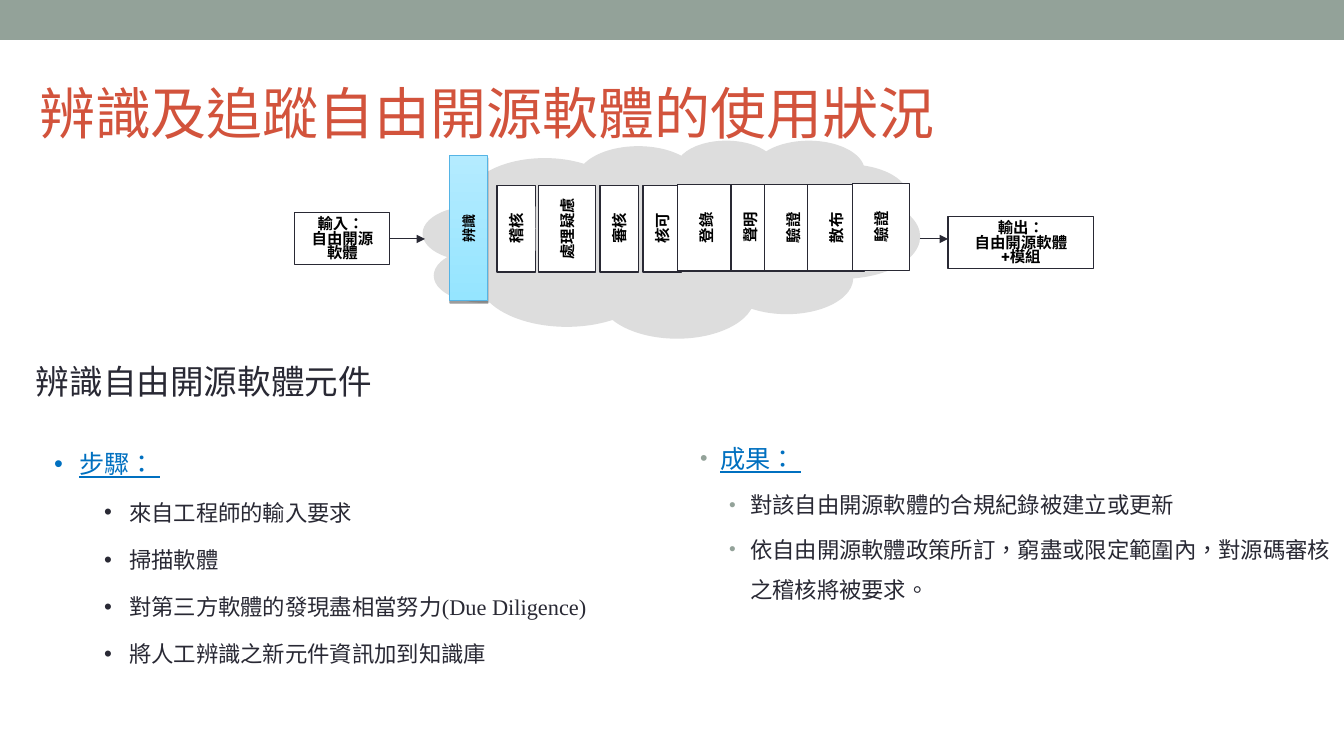
from lxml.etree import SubElement
from pptx import Presentation
from pptx.dml.color import RGBColor
from pptx.enum.shapes import MSO_CONNECTOR as CONN, MSO_SHAPE as SHAPE
from pptx.enum.text import MSO_ANCHOR as ANCHOR, MSO_AUTO_SIZE as AUTO, PP_ALIGN as ALIGN
from pptx.oxml.ns import qn
from pptx.util import Emu, Pt

PX = 914400 / 100.8
SAGE = RGBColor(0x93, 0xA2, 0x99)
RED = RGBColor(0xD2, 0x53, 0x3C)
BLUE = RGBColor(0x00, 0x70, 0xC0)
INK = RGBColor(0x29, 0x29, 0x34)
BLACK = RGBColor(0, 0, 0)
WHITE = RGBColor(0xFF, 0xFF, 0xFF)
CLOUD_GREY = RGBColor(0xDD, 0xDD, 0xDD)
SKY_EDGE = RGBColor(0x55, 0xB4, 0xE5)
SKY = (RGBColor(0x95, 0xE5, 0xFF), RGBColor(0xB4, 0xEB, 0xFF))

SERIF, SANS = "Times New Roman", "Roboto"
LABEL = dict(name=SANS, size=Pt(11), bold=True)
HEADING = dict(name=SERIF, size=Pt(18), underline=True)
ITEM = dict(name=SERIF, size=Pt(16), underline=False)

STAGES = [("稽核", 497, 39), ("處理疑慮", 539, 57), ("審核", 600, 39),
          ("核可", 643, 39), ("登錄", 678, 57), ("聲明", 731, 39),
          ("驗證", 765, 57), ("散布", 808, 57), ("驗證", 853, 57)]
STEPS = ["來自工程師的輸入要求", "掃描軟體",
         "對第三方軟體的發現盡相當努力(Due Diligence)",
         "將人工辨識之新元件資訊加到知識庫"]
RESULTS = ["對該自由開源軟體的合規紀錄被建立或更新 ",
           "依自由開源軟體政策所訂，窮盡或限定範圍內，對源碼審核之稽核將被要求。"]


def px(*values):
    """Turn whole pixels into a list of EMU lengths."""
    return [Emu(round(v * PX)) for v in values]


def set_all(obj, formats):
    """Set every attribute named in a dict."""
    for key, value in formats.items():
        setattr(obj, key, value)


def write(p, text, color, font, **formats):
    """Put one formatted run into a paragraph."""
    set_all(p, formats)
    r = p.add_run()
    r.text = text
    r._r.get_or_add_rPr().set("lang", "zh-TW")
    set_all(r.font, font)
    r.font.color.rgb = color


def place(sp, box, anchor=ANCHOR.TOP):
    """Move a text holder and return its plain wrapping text frame."""
    set_all(sp, dict(zip(("left", "top", "width", "height"), px(*box))))
    tf = sp.text_frame
    set_all(tf, dict(word_wrap=True, auto_size=AUTO.NONE, vertical_anchor=anchor))
    return tf


def add_shape(slide, kind, box, fill=None, line=None):
    """Add a preset shape with a flat fill and an optional thin line."""
    sp = slide.shapes.add_shape(kind, *px(*box))
    sp.shadow.inherit = False
    if fill is not None:
        sp.fill.solid()
        sp.fill.fore_color.rgb = fill
    if line is None:
        sp.line.fill.background()
    else:
        sp.line.color.rgb = line
        sp.line.width = Pt(0.74)
    return sp


def add_terminal(slide, box, lines):
    """Add an input or output box with tightly set lines."""
    tf = place(add_shape(slide, SHAPE.RECTANGLE, box, WHITE, INK), box)
    for i, text in enumerate(lines):
        p = tf.add_paragraph() if i else tf.paragraphs[0]
        write(p, text, BLACK, LABEL, alignment=ALIGN.CENTER, line_spacing=Pt(10.5))


def turned(x, y, w, h):
    """Return the unrotated box that covers the given one after a quarter turn."""
    return x + (w - h) / 2, y + (h - w) / 2, h, w


def add_stage(slide, name, box):
    """Add an upright process stage whose label reads upwards."""
    box = turned(*box)
    sp = add_shape(slide, SHAPE.RECTANGLE, box, WHITE, INK)
    sp.rotation = 270
    tf = place(sp, box, ANCHOR.MIDDLE)
    write(tf.paragraphs[0], name, BLACK, LABEL, alignment=ALIGN.CENTER)


def add_current_stage(slide, name, box):
    """Add the highlighted stage with gradient, shadow and upright label."""
    sp = add_shape(slide, SHAPE.RECTANGLE, box, line=SKY_EDGE)
    sp.fill.gradient()
    sp.fill.gradient_angle = 90
    for stop, color, pos in zip(sp.fill.gradient_stops, SKY, (0, 1)):
        stop.color.rgb = color
        stop.position = pos
    effects = sp._element.spPr.find(qn("a:effectLst"))
    shadow = SubElement(effects, qn("a:outerShdw"), dist="20320", dir="5400000", rotWithShape="0")
    color = SubElement(shadow, qn("a:srgbClr"), val=str(BLACK))
    SubElement(color, qn("a:alpha"), val="38000")
    label = slide.shapes.add_textbox(0, 0, 0, 0)
    label.rotation = 270
    tf = place(label, turned(*box), ANCHOR.MIDDLE)
    write(tf.paragraphs[0], name, BLACK, {**LABEL, "size": Pt(10)}, alignment=ALIGN.CENTER)


def add_arrow(slide, x1, x2, y):
    """Add a horizontal arrow."""
    cx = slide.shapes.add_connector(CONN.STRAIGHT, *px(x1, y, x2, y))
    cx.line.color.rgb = INK
    cx.line.width = Pt(0.74)
    SubElement(cx.line._get_or_add_ln(), qn("a:tailEnd"), type="triangle")
    SubElement(cx._element.spPr, qn("a:effectLst"))


def set_bullet(p, margin, hang, color, size):
    """Give a paragraph a hanging coloured bullet."""
    pPr = p._p.get_or_add_pPr()
    left, back = px(margin, -hang)
    pPr.set("marL", str(left))
    pPr.set("indent", str(back))
    SubElement(SubElement(pPr, qn("a:buClr")), qn("a:srgbClr"), val=str(color))
    SubElement(pPr, qn("a:buSzPct"), val=str(size * 1000))
    SubElement(pPr, qn("a:buFont"), typeface="Arial")
    SubElement(pPr, qn("a:buChar"), char="•")


def fill_list(sp, box, heading, items, gap, margins, hangs, colors, size):
    """Fill a body placeholder with a heading and its second-level items."""
    tf = place(sp, box)
    for i, text in enumerate([heading, *items]):
        p = tf.add_paragraph() if i else tf.paragraphs[0]
        level = min(i, 1)
        write(p, text, (BLUE, INK)[level], (HEADING, ITEM)[level], level=level,
              line_spacing=1.5, space_before=Pt(gap * level), space_after=Pt(0))
        set_bullet(p, margins[level], hangs[level], colors[level], size)


def main():
    """Build the slide and save it."""
    prs = Presentation()
    prs.slide_width, prs.slide_height = px(1344, 756)
    slide = prs.slides.add_slide(prs.slide_layouts[3])
    title, steps, results = slide.placeholders

    add_shape(slide, SHAPE.RECTANGLE, (0, 0, 1344, 40), SAGE)
    add_shape(slide, SHAPE.CLOUD, (423, 140, 497, 198), CLOUD_GREY)
    add_terminal(slide, (295, 213, 95, 52), ["輸入： ", "自由開源軟體"])
    add_terminal(slide, (948, 217, 146, 52), ["輸出：", "自由開源軟體", "+模組"])
    add_arrow(slide, 390, 425, 239)
    add_arrow(slide, 920, 948, 239)
    add_current_stage(slide, "辨識", (450, 156, 38, 145))
    for i, (name, x, w) in enumerate(STAGES):
        add_stage(slide, name, (x, 185 - i // 4, w, 87))

    fill_list(steps, (44, 428, 607, 288), "步驟： ", STEPS, 5,
              (25, 75), (25, 25), (BLUE, INK), 100)
    fill_list(results, (690, 423, 654, 254), "成果： ", RESULTS, 3.2,
              (20, 50), (20, 21), (SAGE, SAGE), 85)

    subtitle = place(slide.shapes.add_textbox(0, 0, 0, 0), (26, 356, 427, 92))
    write(subtitle.paragraphs[0], "辨識自由開源軟體元件", INK, dict(name=SERIF, size=Pt(24)))
    tf = place(title, (29, 58, 1210, 109), ANCHOR.MIDDLE)
    write(tf.paragraphs[0], "辨識及追蹤自由開源軟體的使用狀況", RED,
          dict(name=SERIF, size=Pt(40)), alignment=ALIGN.LEFT)
    slide.shapes._spTree.append(title._element)
    prs.save("out.pptx")


main()
